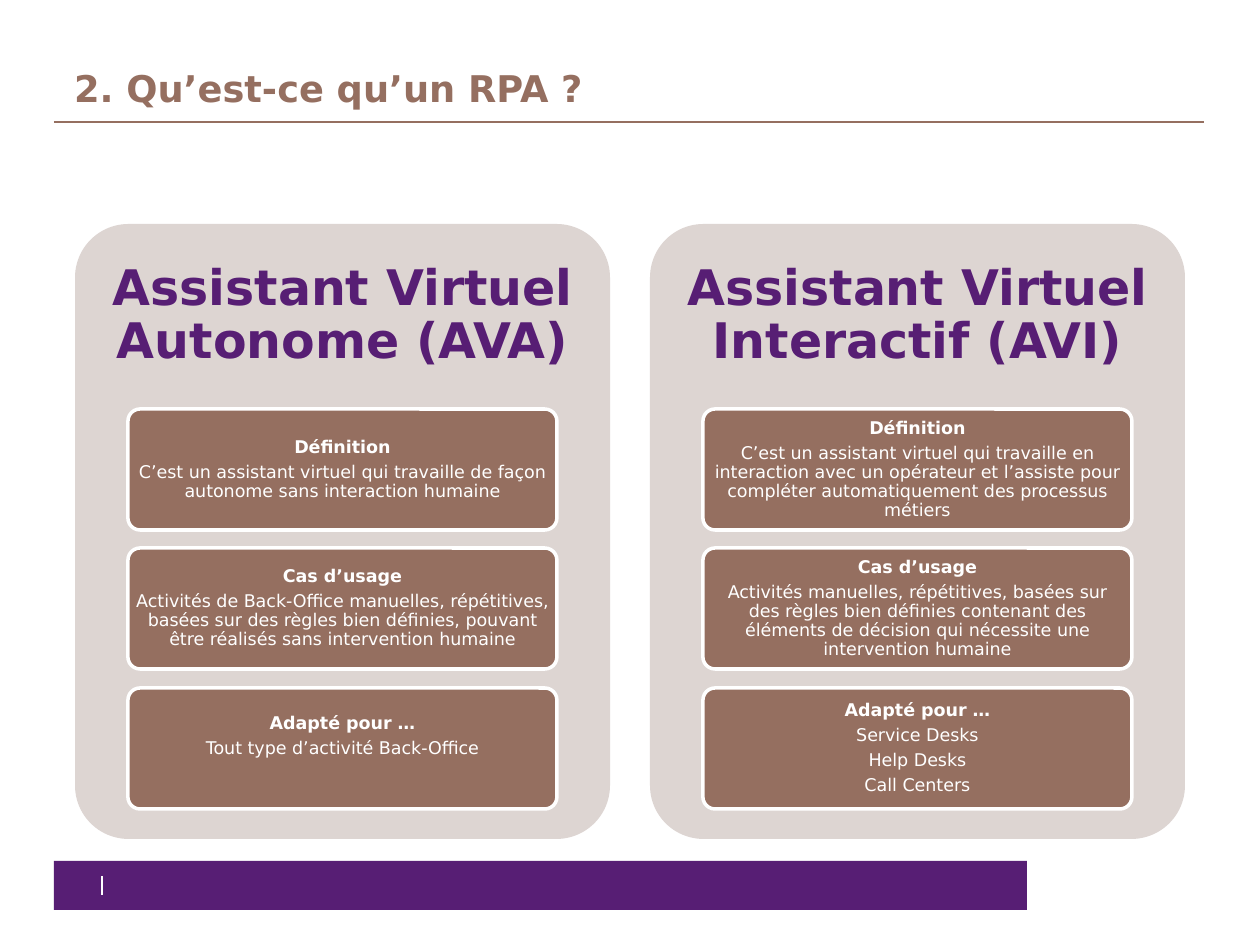
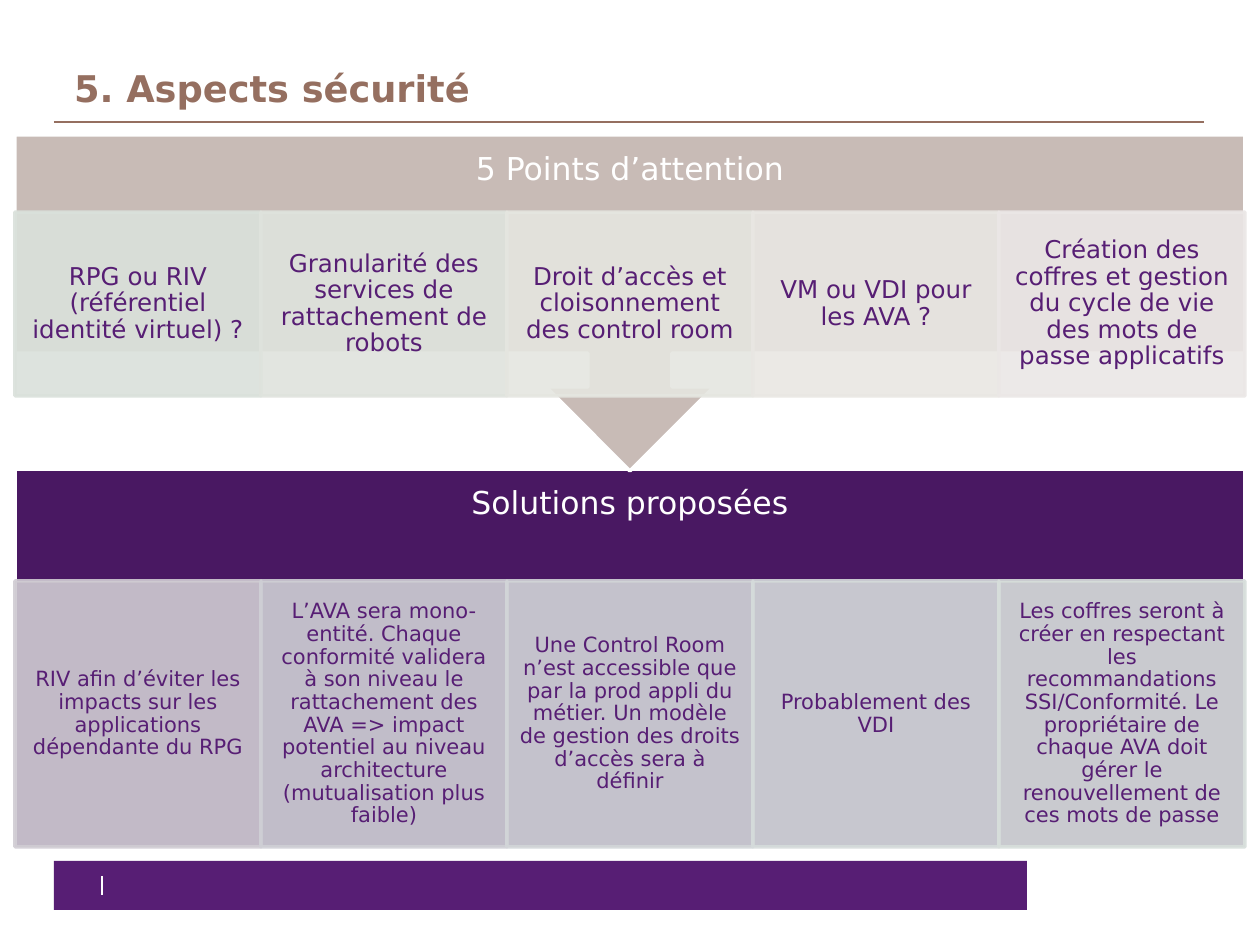
import pptx
import pptx.util
import pptx.dml.color
import pptx.enum.shapes
import pptx.enum.text
import pptx.oxml.ns
import lxml.etree

PX = 7257
FONT = "DejaVu Sans"
PURPLE, DEEP_PURPLE, BROWN = "571E74", "491862", "956F60"
PANEL, CALLOUT, WHITE = "DDD5D2", "C8BBB6", "FFFFFF"
SHAPE = pptx.enum.shapes.MSO_SHAPE
ANCHOR = pptx.enum.text.MSO_ANCHOR
ALIGN = pptx.enum.text.PP_ALIGN
qn = pptx.oxml.ns.qn


def rgb(value):
    return pptx.dml.color.RGBColor.from_string(value)


def box(s, kind, rect, fill=None, line=None, texts=(), size=10, color=WHITE,
        bold=False, inset=(0, 0, 0, 0), anchor=ANCHOR.MIDDLE, opacity=None):
    sp = s.shapes.add_shape(kind, *[n * PX for n in rect])
    sp.shadow.inherit = False
    for part, shade in ((sp.fill, fill), (sp.line.fill, line)):
        if shade:
            part.solid()
            part.fore_color.rgb = rgb(shade)
        else:
            part.background()
    if line:
        sp.line.width = pptx.util.Pt(2)
    if kind == SHAPE.ROUNDED_RECTANGLE:
        sp.adjustments[0] = 0.1
    if opacity:
        for c in list(sp.element.spPr.iter(qn("a:srgbClr"))):
            lxml.etree.SubElement(c, qn("a:alpha"), val=str(opacity * 1000))
    tf = sp.text_frame
    left, top, right, bottom = [n * PX for n in inset]
    frame = {"margin_left": left, "margin_top": top, "margin_right": right,
             "margin_bottom": bottom, "vertical_anchor": anchor, "word_wrap": True}
    for name, value in frame.items():
        setattr(tf, name, value)
    for i, text in enumerate(texts):
        p = tf.paragraphs[0] if i == 0 else tf.add_paragraph()
        para = {"alignment": ALIGN.CENTER, "line_spacing": 0.9,
                "space_after": pptx.util.Pt(size * 0.35)}
        for name, value in para.items():
            setattr(p, name, value)
        r = p.add_run()
        r.text = text
        font = {"name": FONT, "size": pptx.util.Pt(size), "bold": bold and i == 0}
        for name, value in font.items():
            setattr(r.font, name, value)
        r.font.color.rgb = rgb(color)
    return sp


prs = pptx.Presentation()
prs.slide_width = 1260 * PX
prs.slide_height = 945 * PX
layout = prs.slide_layouts[5]
titles = ["2. Qu’est-ce qu’un RPA ?", "5. Aspects sécurité"]
slides = [prs.slides.add_slide(layout) for _ in titles]

s = slides[0]
shared = [box(s, SHAPE.RECTANGLE, (54, 861, 973, 49), PURPLE)]
for ends, color in (((102, 895, 102, 876), WHITE), ((54, 122, 1204, 122), BROWN)):
    cx = s.shapes.add_connector(pptx.enum.shapes.MSO_CONNECTOR.STRAIGHT,
                                *[n * PX for n in ends])
    cx.line.color.rgb = rgb(color)
    cx.line.width = pptx.util.Pt(1)
    lxml.etree.SubElement(cx.element.spPr, qn("a:effectLst"))
    shared.append(cx)
for sp in shared:
    layout.shapes.element.append(sp.element)

for s, text in zip(slides, titles):
    title = s.shapes.title
    place = {"left": 74, "top": 42, "width": 1111, "height": 68}
    for name, value in place.items():
        setattr(title, name, value * PX)
    tf = title.text_frame
    frame = {"margin_left": 0, "margin_top": 0, "margin_right": 0, "margin_bottom": 0,
             "vertical_anchor": ANCHOR.BOTTOM, "word_wrap": True,
             "auto_size": pptx.enum.text.MSO_AUTO_SIZE.NONE}
    for name, value in frame.items():
        setattr(tf, name, value)
    p = tf.paragraphs[0]
    p.alignment = ALIGN.LEFT
    r = p.add_run()
    r.text = text
    font = {"name": FONT, "size": pptx.util.Pt(21), "bold": True}
    for name, value in font.items():
        setattr(r.font, name, value)
    r.font.color.rgb = rgb(BROWN)

assistants = [
    ("Assistant Virtuel Autonome (AVA)", [
        ["Définition",
         "C’est un assistant virtuel qui travaille de façon autonome sans interaction humaine"],
        ["Cas d’usage",
         "Activités de Back-Office manuelles, répétitives, basées sur des règles bien "
         "définies, pouvant être réalisés sans intervention humaine"],
        ["Adapté pour …", "Tout type d’activité Back-Office"],
    ]),
    ("Assistant Virtuel Interactif (AVI)", [
        ["Définition",
         "C’est un assistant virtuel qui travaille en interaction avec un opérateur et "
         "l’assiste pour compléter automatiquement des processus métiers"],
        ["Cas d’usage",
         "Activités manuelles, répétitives, basées sur des règles bien définies contenant "
         "des éléments de décision qui nécessite une intervention humaine"],
        ["Adapté pour …", "Service Desks", "Help Desks", "Call Centers"],
    ]),
]
s = slides[0]
for col, (name, cards) in enumerate(assistants):
    x = 75 + 575 * col
    box(s, SHAPE.ROUNDED_RECTANGLE, (x, 224, 535, 615), PANEL)
    box(s, SHAPE.RECTANGLE, (x, 224, 535, 184), texts=[name], size=28,
        color=PURPLE, bold=True, inset=(15, 15, 15, 15))
    for row, texts in enumerate(cards):
        lift = 25 if (col, row) == (0, 2) else 0
        box(s, SHAPE.ROUNDED_RECTANGLE, (x + 53, 409 + 279 * row // 2, 429, 121),
            BROWN, WHITE, texts, bold=True, inset=(4, 3, 4, 3 + lift))

solutions = [
    ("D0CCD3", "RIV afin d’éviter les impacts sur les applications dépendante du RPG"),
    ("CFCFD5", "L’AVA sera mono-entité. Chaque conformité validera à son niveau le "
               "rattachement des AVA => impact potentiel au niveau architecture "
               "(mutualisation plus faible)"),
    ("D2D5D8", "Une Control Room n’est accessible que par la prod appli du métier. "
               "Un modèle de gestion des droits d’accès sera à définir"),
    ("D5DBDB", "Probablement des VDI"),
    ("D7DEDB", "Les coffres seront à créer en respectant les recommandations "
               "SSI/Conformité. Le propriétaire de chaque AVA doit gérer le "
               "renouvellement de ces mots de passe"),
]
points = [
    ("DAE1DB", "RPG ou RIV (référentiel identité virtuel) ?"),
    ("DFE3DD", "Granularité des services de rattachement de robots"),
    ("E5E6E0", "Droit d’accès et cloisonnement des control room"),
    ("E9E7E3", "VM ou VDI pour les AVA ?"),
    ("EBE7E6", "Création des coffres et gestion du cycle de vie des mots de passe "
               "applicatifs"),
]
bands = [
    (SHAPE.RECTANGLE, "Solutions proposées", DEEP_PURPLE, 469, 380,
     solutions, 581, 266, 12, 11),
    (SHAPE.DOWN_ARROW_CALLOUT, "5 Points d’attention", CALLOUT, 135, 336,
     points, 212, 184, 14, 14),
]
s = slides[1]
for kind, head, fill, top, height, cells, cell_top, cell_height, size, side in bands:
    box(s, kind, (15, top, 1230, height), fill, WHITE, [head], 18,
        inset=(18, 18, 18, 18), anchor=ANCHOR.TOP)
    for col, (shade, text) in enumerate(cells):
        box(s, SHAPE.RECTANGLE, (15 + 246 * col, cell_top, 246, cell_height),
            shade, shade, [text], size, PURPLE, inset=(side, 3, side, 3), opacity=90)

prs.save("out.pptx")
